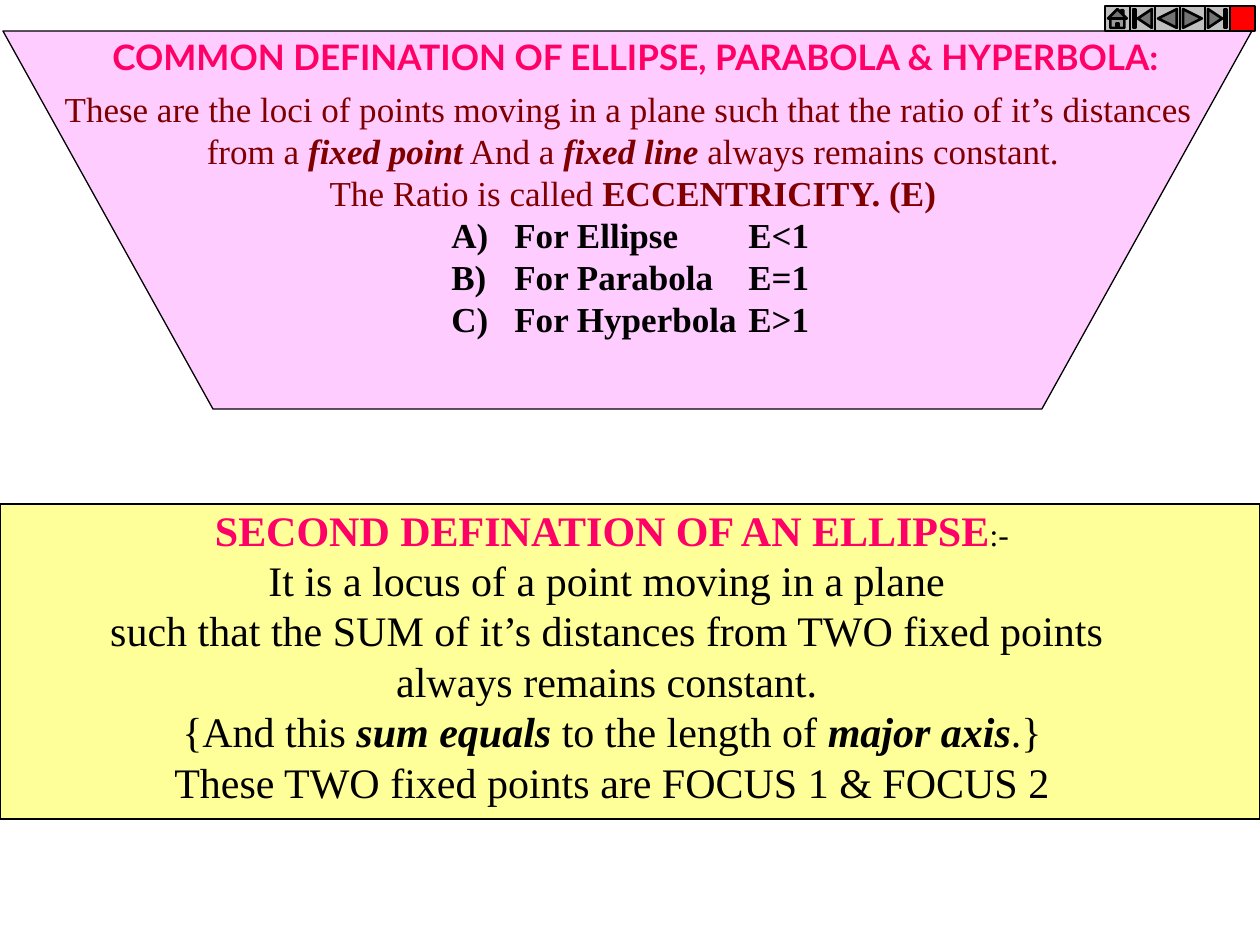
from lxml import etree
from pptx import Presentation
from pptx.dml.color import RGBColor
from pptx.enum.shapes import MSO_SHAPE
from pptx.enum.text import PP_ALIGN
from pptx.util import Pt

PX = 914400 / 126
LEFT, MID = PP_ALIGN.LEFT, PP_ALIGN.CENTER
SERIF, SANS = "Times New Roman", "Lato"
HUES = {
    "black": "000000", "pink": "FF0066", "maroon": "800000",
    "lilac": "FFCCFF", "lemon": "FFFF99", "grey": "C0C0C0", "red": "FF0000",
}
BUTTONS = [
    (MSO_SHAPE.ACTION_BUTTON_HOME, "grey"),
    (MSO_SHAPE.ACTION_BUTTON_BEGINNING, "grey"),
    (MSO_SHAPE.ACTION_BUTTON_BACK_OR_PREVIOUS, "grey"),
    (MSO_SHAPE.ACTION_BUTTON_FORWARD_OR_NEXT, "grey"),
    (MSO_SHAPE.ACTION_BUTTON_END, "grey"),
    (MSO_SHAPE.ACTION_BUTTON_CUSTOM, "red"),
]


def paint(shape, fill, width):
    shape.shadow.inherit = False
    shape.fill.solid()
    shape.fill.fore_color.rgb = RGBColor.from_string(HUES[fill])
    shape.line.color.rgb = RGBColor.from_string(HUES["black"])
    shape.line.width = Pt(width)


def write(area, lines, size, hue, align=MID, face=SERIF):
    """Add a text box; each line is a list of (text, style[, size, hue]), style from "b" and "i"."""
    box = slide.shapes.add_textbox(*[round(n * PX) for n in area])
    frame = box.text_frame
    frame.word_wrap = True
    for i, line in enumerate(lines):
        para = frame.paragraphs[0] if i == 0 else frame.add_paragraph()
        para.alignment = align
        para.line_spacing = Pt(size * 1.2)
        for text, style, *own in line:
            run = para.add_run()
            run.text = text
            points, tint = own or (size, hue)
            run.font.name = face
            run.font.size = Pt(points)
            run.font.bold = "b" in style
            run.font.italic = "i" in style
            run.font.color.rgb = RGBColor.from_string(HUES[tint])
    return frame


deck = Presentation()
deck.slide_width, deck.slide_height = round(1260 * PX), round(945 * PX)
slide = deck.slides.add_slide(deck.slide_layouts[6])

panel = slide.shapes.add_shape(
    MSO_SHAPE.RECTANGLE, 0, round(504 * PX), round(1260 * PX), round(315 * PX))
paint(panel, "lemon", 0.75)

funnel = slide.shapes.build_freeform(3, 31, scale=PX)
funnel.add_line_segments([(213, 409), (1042, 409), (1252, 31)], close=True)
paint(funnel.convert_to_shape(), "lilac", 0.75)

write((33, 81, 1200, 138), [
    [("These are the loci of points moving in a plane such that the ratio of it’s distances ", "")],
    [("from a ", ""), ("fixed point", "bi"), (" And a ", ""),
     ("fixed line", "bi"), (" always remains constant.", "")],
    [("The Ratio is called ", ""), ("ECCENTRICITY. (E)", "b")],
], 20, "maroon")

curves = write((439, 207, 315, 138), [
    [("For " + name, "b")] for name in ("Ellipse", "Parabola", "Hyperbola")
], 20, "black", LEFT)
for para in curves.paragraphs:
    props = para._p.get_or_add_pPr()
    props.set("marL", str(round(63 * PX)))
    props.set("indent", str(round(-63 * PX)))
    ns = props.nsmap["a"]
    etree.SubElement(props, f"{{{ns}}}buFont", typeface=SERIF)
    etree.SubElement(props, f"{{{ns}}}buAutoNum", type="alphaUcParenR")

write((736, 207, 100, 138), [
    [(ratio, "b")] for ratio in ("E<1", "E=1", "E>1")
], 20, "black", LEFT)

write((96, 498, 1032, 315), [
    [("SECOND DEFINATION OF AN ELLIPSE", "b", 24, "pink"), (":-", "", 18, "black")],
    [("It is a locus of a point moving in a plane ", "")],
    [("such that the SUM of it’s distances from TWO fixed points ", "")],
    [("always remains constant. ", "")],
    [("{And this ", ""), ("sum equals", "bi"), (" to the length of ", ""),
     ("major axis", "bi"), (".}", "")],
    [("These TWO fixed points are FOCUS 1 & FOCUS 2", "")],
], 24, "black")

write((100, 29, 1100, 55), [
    [("COMMON DEFINATION OF ELLIPSE, PARABOLA & HYPERBOLA:", "b")],
], 20, "pink", LEFT, SANS)

side = round(25 * PX)
for i, (kind, fill) in enumerate(BUTTONS):
    button = slide.shapes.add_shape(
        kind, round(1105 * PX) + i * side, round(6 * PX), side, side)
    paint(button, fill, 1.5)

deck.save("out.pptx")
